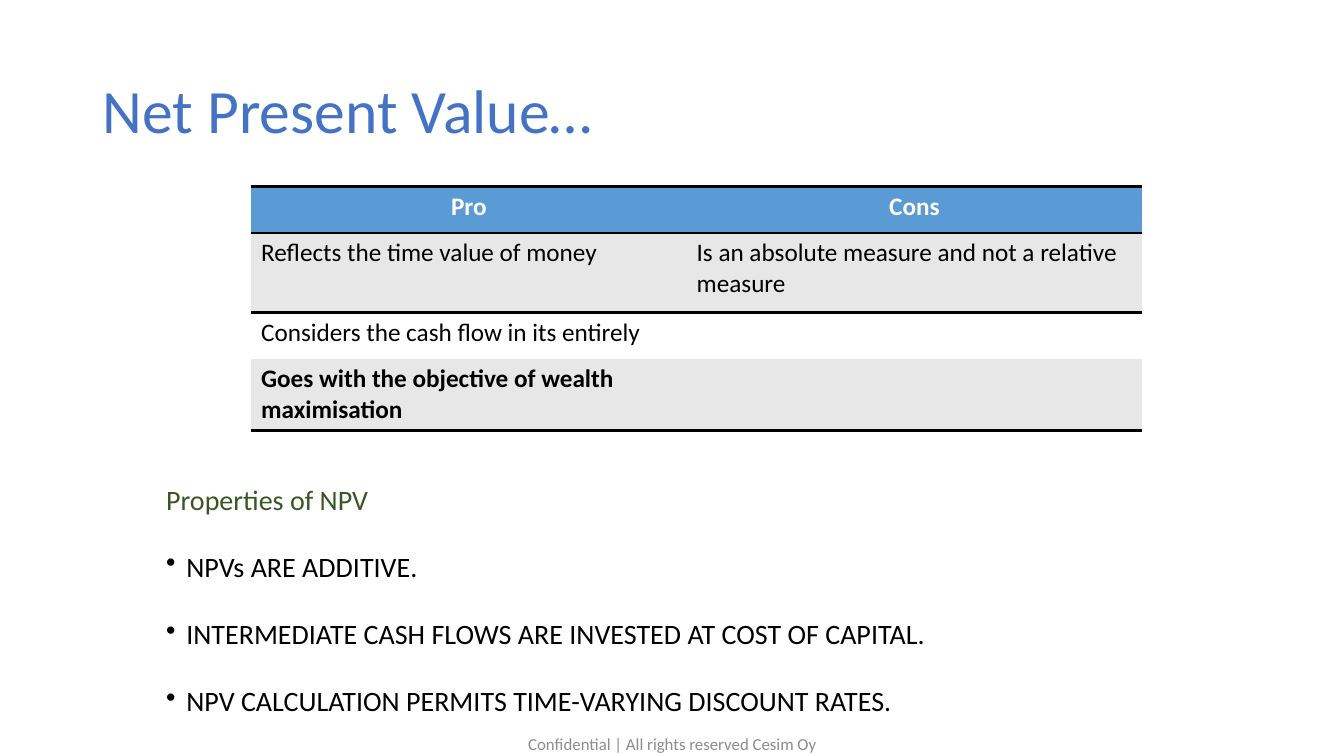
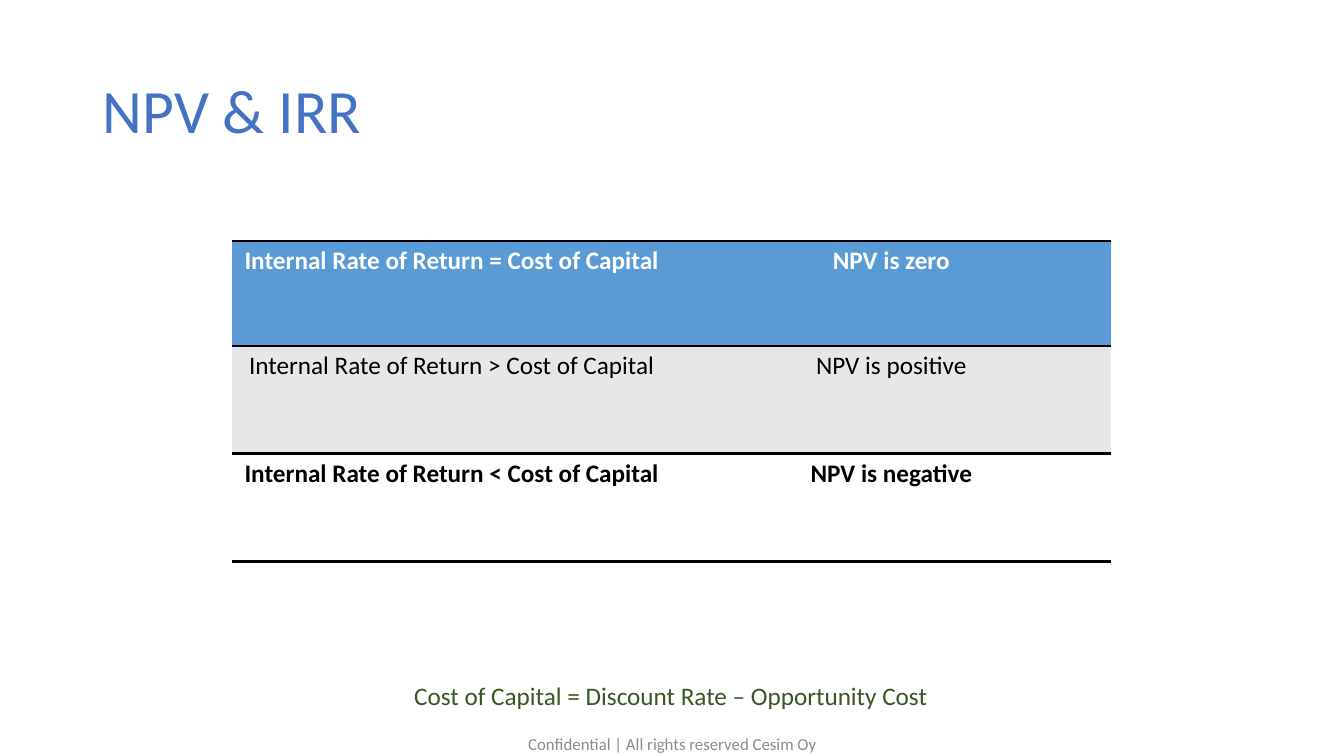
from pptx import Presentation
from pptx.dml.color import RGBColor
from pptx.enum.text import MSO_ANCHOR, MSO_AUTO_SIZE, PP_ALIGN
from pptx.oxml import parse_xml
from pptx.oxml.ns import nsdecls, qn
from pptx.util import Pt

PX = 9144
SIZE = (1333, 750)
FACE = "Calibri"
BLUE = RGBColor(0x44, 0x72, 0xC4)
HEAD = RGBColor(0x5B, 0x9B, 0xD5)
BAND = RGBColor(0xE7, 0xE7, 0xE7)
GREEN = RGBColor(0x38, 0x57, 0x23)
GREY = RGBColor(0x8C, 0x8C, 0x8C)
BLACK = RGBColor(0, 0, 0)
WHITE = RGBColor(255, 255, 255)
PLAIN = "{2D5ABB26-0587-4C30-8999-92F81FD0307C}"
LEFT, MID = PP_ALIGN.LEFT, PP_ALIGN.CENTER

TITLE = {"size": Pt(44), "color": BLUE}
NOTE = {"size": Pt(18), "color": GREEN}
LEAD = {"size": Pt(20), "color": GREEN}
ITEM = {"size": Pt(20), "color": BLACK}
FOOT = {"size": Pt(12), "color": GREY}
CELL = {"size": Pt(18), "color": BLACK, "bold": False}
BOLD = {**CELL, "bold": True}
TOP = {**BOLD, "color": WHITE}

TITLE_AT = (92, 40, 1150, 145)
FOOT_AT = (442, 725, 450, 25)
FOOT_TEXT = "Confidential | All rights reserved Cesim Oy"
INDENT = 20

SLIDES = [
    {
        "title": "Net Present Value…",
        "at": (249, 185),
        "cols": (432, 452),
        "rows": (46, 79, 46, 64),
        "align": LEFT,
        "cells": [
            ("Pro", "Cons"),
            ("Reflects the time value of money",
             "Is an absolute measure and not a relative measure"),
            ("Considers the cash flow in its entirely", ""),
            ("Goes with the objective of wealth maximisation", ""),
        ],
        "box": (155, 440, 1074, 310),
        "space": 2.0,
        "lines": [
            ("Properties of NPV", LEAD, False),
            ("NPVs ARE ADDITIVE.", ITEM, True),
            ("INTERMEDIATE CASH FLOWS ARE INVESTED AT COST OF CAPITAL.", ITEM, True),
            ("NPV CALCULATION PERMITS TIME-VARYING DISCOUNT RATES.", ITEM, True),
        ],
    },
    {
        "title": "NPV & IRR",
        "at": (230, 239),
        "cols": (436, 436),
        "rows": (104, 107, 107),
        "align": MID,
        "cells": [
            ("Internal Rate of Return = Cost of Capital", "NPV is zero"),
            ("Internal Rate of Return > Cost of Capital", "NPV is positive"),
            ("Internal Rate of Return < Cost of Capital", "NPV is negative"),
        ],
        "box": (401, 670, 531, 40),
        "space": 1.0,
        "lines": [("Cost of Capital = Discount Rate – Opportunity Cost", NOTE, False)],
    },
]


def scale(nums):
    return [n * PX for n in nums]


def write(para, text, style, align=LEFT, space=1.0):
    para.text = text
    para.alignment = align
    para.line_spacing = space
    para.font.name = FACE
    for key, val in style.items():
        if key == "color":
            para.font.color.rgb = val
        else:
            setattr(para.font, key, val)


def frame(shape, anchor):
    text = shape.text_frame
    form = {"word_wrap": True, "auto_size": MSO_AUTO_SIZE.NONE,
            "vertical_anchor": anchor}
    for key, val in form.items():
        setattr(text, key, val)
    return text


def bullet(para):
    props = para._p.get_or_add_pPr()
    props.set("marL", str(INDENT * PX))
    props.set("indent", str(-INDENT * PX))
    props.append(parse_xml(f'<a:buChar {nsdecls("a")} char="•"/>'))


def rule(cell, side):
    cell._tc.get_or_add_tcPr().append(parse_xml(
        f'<a:{side} {nsdecls("a")} w="{Pt(2)}"><a:solidFill>'
        f'<a:srgbClr val="{BLACK}"/></a:solidFill></a:{side}>'))


def add_title(slide, text):
    shape = slide.shapes.title
    shape.left, shape.top, shape.width, shape.height = scale(TITLE_AT)
    write(frame(shape, MSO_ANCHOR.MIDDLE).paragraphs[0], text, TITLE, space=0.9)


def add_grid(slide, data):
    cols, rows = data["cols"], data["rows"]
    area = scale((*data["at"], sum(cols), sum(rows)))
    grid = slide.shapes.add_table(len(rows), len(cols), *area).table
    grid.horz_banding = False
    grid._tbl.tblPr.find(qn("a:tableStyleId")).text = PLAIN
    for col, wide in zip(grid.columns, scale(cols)):
        col.width = wide
    last = len(rows) - 1
    for r, words in enumerate(data["cells"]):
        grid.rows[r].height = rows[r] * PX
        style = TOP if r == 0 else BOLD if r == last else CELL
        fill = HEAD if r == 0 else BAND if r % 2 else WHITE
        align = MID if r == 0 else data["align"]
        for c, text in enumerate(words):
            cell = grid.cell(r, c)
            if r < 2:
                rule(cell, "lnT")
            if r in (0, last):
                rule(cell, "lnB")
            cell.fill.solid()
            cell.fill.fore_color.rgb = fill
            write(cell.text_frame.paragraphs[0], text, style, align)


def add_lines(slide, data):
    box = slide.shapes.add_textbox(*scale(data["box"]))
    text = frame(box, MSO_ANCHOR.TOP)
    for n, (words, style, mark) in enumerate(data["lines"]):
        para = text.add_paragraph() if n else text.paragraphs[0]
        if mark:
            bullet(para)
        write(para, words, style, space=data["space"])


def add_foot(slide):
    box = slide.shapes.add_textbox(*scale(FOOT_AT))
    write(frame(box, MSO_ANCHOR.MIDDLE).paragraphs[0], FOOT_TEXT, FOOT, MID)


def main():
    deck = Presentation()
    deck.slide_width, deck.slide_height = scale(SIZE)
    for data in SLIDES:
        slide = deck.slides.add_slide(deck.slide_layouts[5])
        add_title(slide, data["title"])
        add_grid(slide, data)
        add_lines(slide, data)
        add_foot(slide)
    deck.save("out.pptx")


if __name__ == "__main__":
    main()
